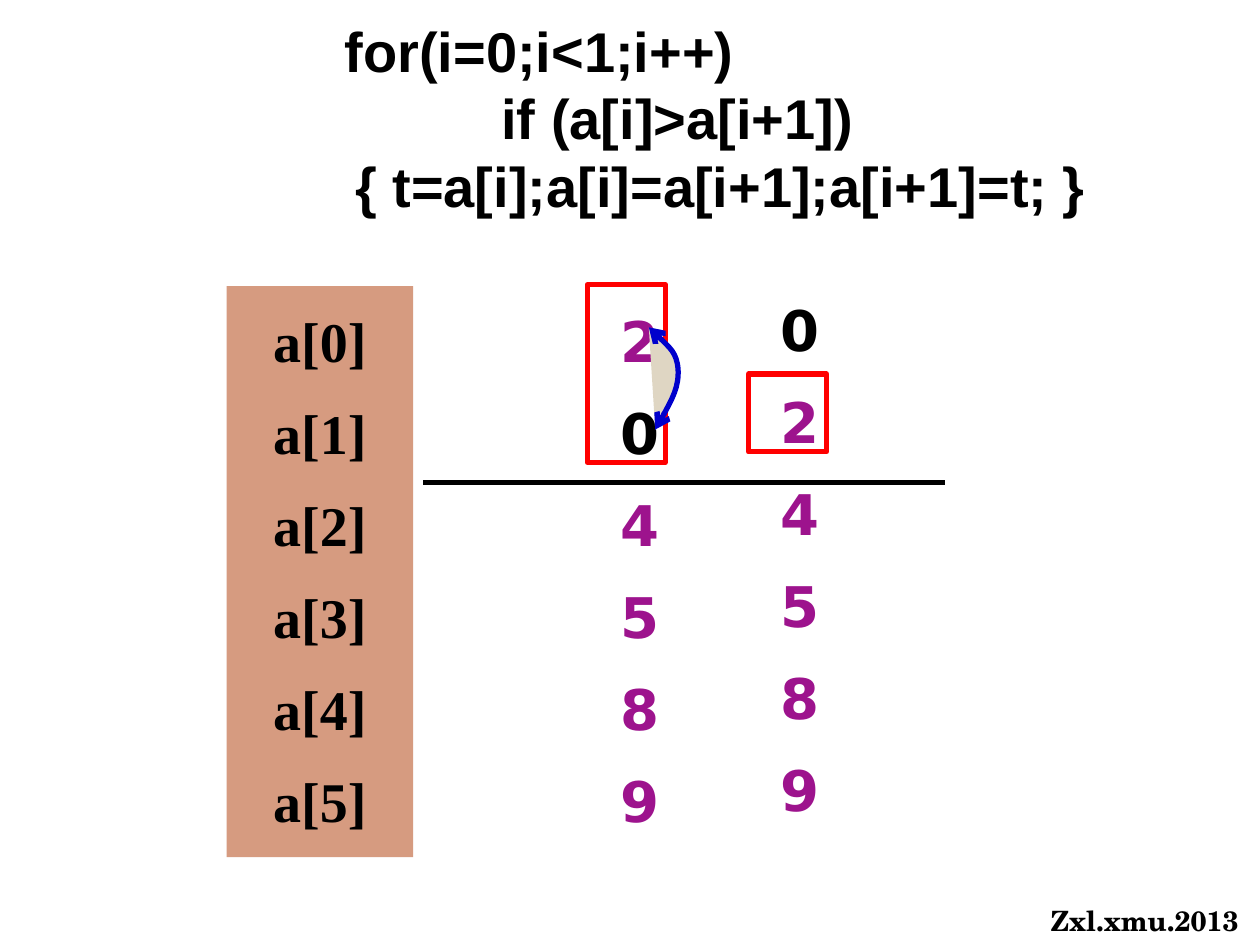
from dataclasses import dataclass

from lxml.etree import SubElement
from pptx import Presentation
from pptx.dml.color import RGBColor
from pptx.enum.shapes import MSO_CONNECTOR as Connector, MSO_SHAPE as Shape
from pptx.enum.text import MSO_ANCHOR as Anchor, PP_ALIGN as Align
from pptx.oxml.ns import qn
from pptx.util import Cm, Pt

BLACK, PURPLE, RED, BLUE = "000000", "9D138D", "FF0000", "0000CC"
TAN, BEIGE, WHITE = "D69B80", "DFD6C3", "FFFFFF"


@dataclass(frozen=True)
class Area:
    left: float
    top: float
    width: float
    height: float

    def emu(self) -> tuple:
        return Cm(self.left), Cm(self.top), Cm(self.width), Cm(self.height)


@dataclass(frozen=True)
class Entry:
    text: str
    color: str = BLACK
    indent: float = 0


@dataclass(frozen=True)
class TextStyle:
    font: str
    size: float = 32
    align: Align = Align.CENTER
    line_height: float | None = 46.2
    gap: float = 6.4


@dataclass(frozen=True)
class Pass:
    """One state of the array, with the sorted range framed in red."""
    column: Area
    values: list[Entry]
    frame: Area


def rgb(color: str) -> RGBColor:
    return RGBColor.from_string(color)


def set_line(line, color: str) -> None:
    line.color.rgb = rgb(color)
    line.width = Pt(3)


def write(frame, entries: list[Entry], style: TextStyle, wrap: bool = True) -> None:
    frame.word_wrap = wrap
    frame.vertical_anchor = Anchor.TOP
    for number, entry in enumerate(entries):
        paragraph = frame.add_paragraph() if number else frame.paragraphs[0]
        paragraph.text = entry.text
        paragraph.alignment = style.align
        if style.line_height:
            paragraph.line_spacing = Pt(style.line_height)
        paragraph.space_before = Pt(style.gap if number else 0)
        if entry.indent:
            paragraph._p.get_or_add_pPr().set("marL", str(Cm(entry.indent)))
        font = paragraph.font
        font.name, font.size, font.bold = style.font, Pt(style.size), True
        font.color.rgb = rgb(entry.color)


def add_panel(slide, area: Area, fill: str, entries: list[Entry], style: TextStyle) -> None:
    panel = slide.shapes.add_shape(Shape.RECTANGLE, *area.emu())
    panel.shadow.inherit = False
    panel.fill.solid()
    panel.fill.fore_color.rgb = rgb(fill)
    panel.line.fill.background()
    write(panel.text_frame, entries, style)


def add_text(slide, area: Area, entries: list[Entry], style: TextStyle,
             wrap: bool = True) -> None:
    write(slide.shapes.add_textbox(*area.emu()).text_frame, entries, style, wrap)


def add_frame(slide, area: Area) -> None:
    frame = slide.shapes.add_shape(Shape.FLOWCHART_PROCESS, *area.emu())
    frame.shadow.inherit = False
    frame.fill.background()
    set_line(frame.line, RED)


def add_divider(slide, left: float, right: float, y: float) -> None:
    divider = slide.shapes.add_connector(
        Connector.STRAIGHT, Cm(left), Cm(y), Cm(right), Cm(y))
    set_line(divider.line, BLACK)
    SubElement(divider._element.spPr, qn("a:effectLst"))


def add_swap_arrow(slide, points: list[tuple[float, float]]) -> None:
    """Draw a double-headed curve: a start, then three Bézier points per segment."""
    start, *rest = [(Cm(x), Cm(y)) for x, y in points]
    builder = slide.shapes.build_freeform(*start)
    builder.add_line_segments(rest, close=False)
    arrow = builder.convert_to_shape()
    arrow.shadow.inherit = False
    arrow.fill.solid()
    arrow.fill.fore_color.rgb = rgb(BEIGE)
    set_line(arrow.line, BLUE)
    steps = list(arrow._element.iter(qn("a:lnTo")))
    for first in range(0, len(steps), 3):
        segment = steps[first:first + 3]
        curve = SubElement(segment[0].getparent(), qn("a:cubicBezTo"))
        for step in segment:
            curve.append(step[0])
            step.getparent().remove(step)
    outline = arrow.line._get_or_add_ln()
    for end in ("a:headEnd", "a:tailEnd"):
        SubElement(outline, qn(end), type="arrow")


def numbers(digits: str) -> list[Entry]:
    return [Entry(digit, BLACK if digit == "0" else PURPLE) for digit in digits]


def main() -> None:
    deck = Presentation()
    deck.slide_width, deck.slide_height = Cm(25.4), Cm(19.05)
    slide = deck.slides.add_slide(deck.slide_layouts[6])

    value_style = TextStyle("DejaVu Sans")
    before = Pass(Area(11.91, 5.77, 1.98, 11.51), numbers("204589"),
                  Area(11.84, 5.74, 1.57, 3.58))
    after = Pass(Area(15.14, 5.56, 1.98, 11.51), numbers("024589"),
                 Area(15.09, 7.54, 1.57, 1.57))

    add_text(slide, Area(20.93, 18.08, 4.5, 0.94), [Entry("Zxl.xmu.2013")],
             TextStyle("TeX Gyre Schola", 16, Align.LEFT, None, 0), wrap=False)
    add_divider(slide, 8.53, 19.05, 9.73)
    for state in (before, after):
        add_text(slide, state.column, state.values, value_style)
        add_frame(slide, state.frame)
        if state is before:
            add_swap_arrow(slide, [
                (13.21, 8.66), (13.46, 8.23), (13.69, 7.8), (13.67, 7.44),
                (13.64, 7.11), (13.36, 6.86), (13.08, 6.6)])

    add_panel(slide, Area(4.57, 5.77, 3.76, 11.51), TAN,
              [Entry(f"a[{index}]") for index in range(6)],
              TextStyle("Times New Roman"))
    add_panel(slide, Area(5.66, 0.2, 16.61, 4.37), WHITE,
              [Entry("for(i=0;i<1;i++)", indent=1.04),
               Entry("if (a[i]>a[i+1])", indent=4.2),
               Entry("{ t=a[i];a[i]=a[i+1];a[i+1]=t; }", indent=1.25)],
              TextStyle("Arial", align=Align.LEFT, line_height=38.6, gap=0))

    deck.save("out.pptx")


if __name__ == "__main__":
    main()
